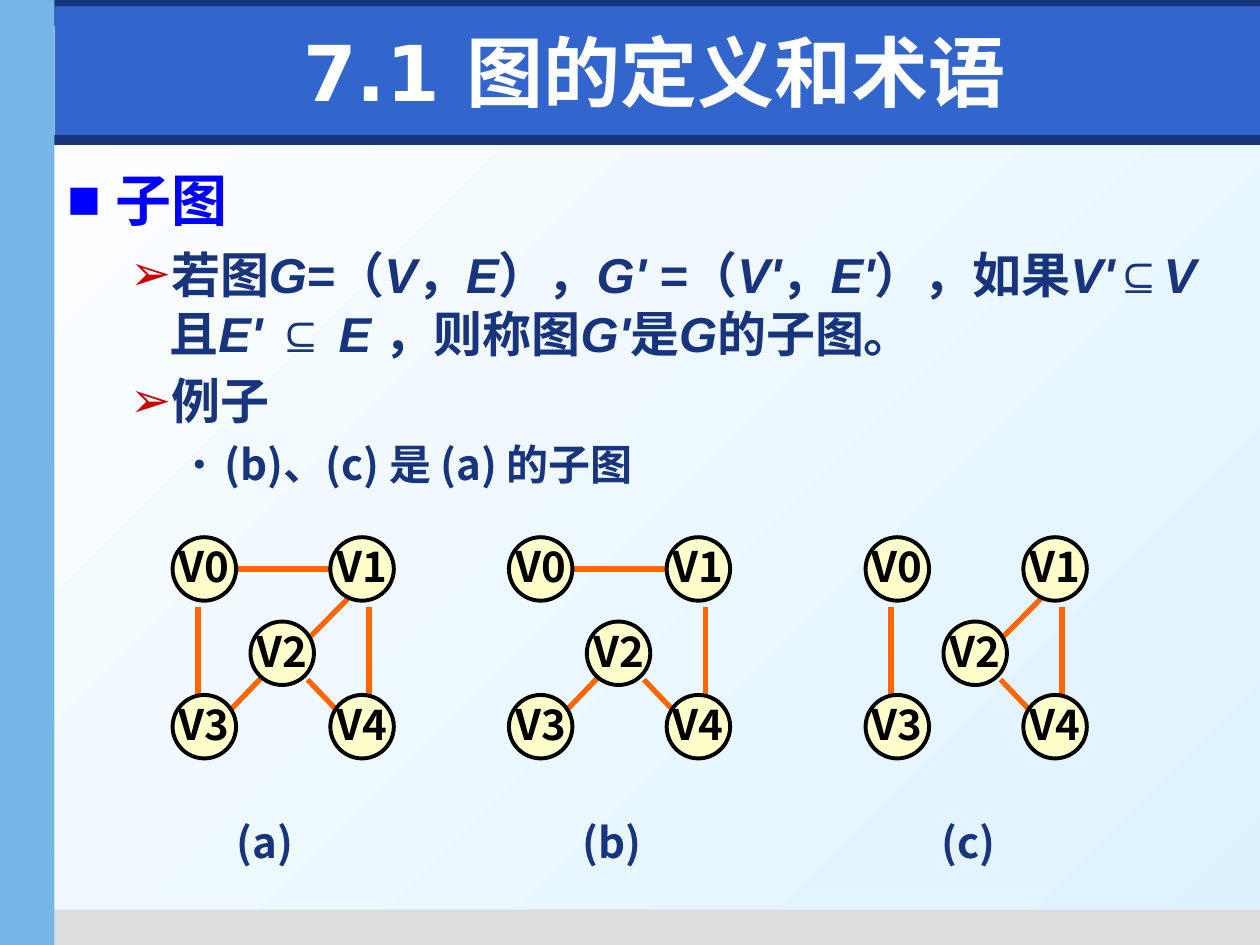
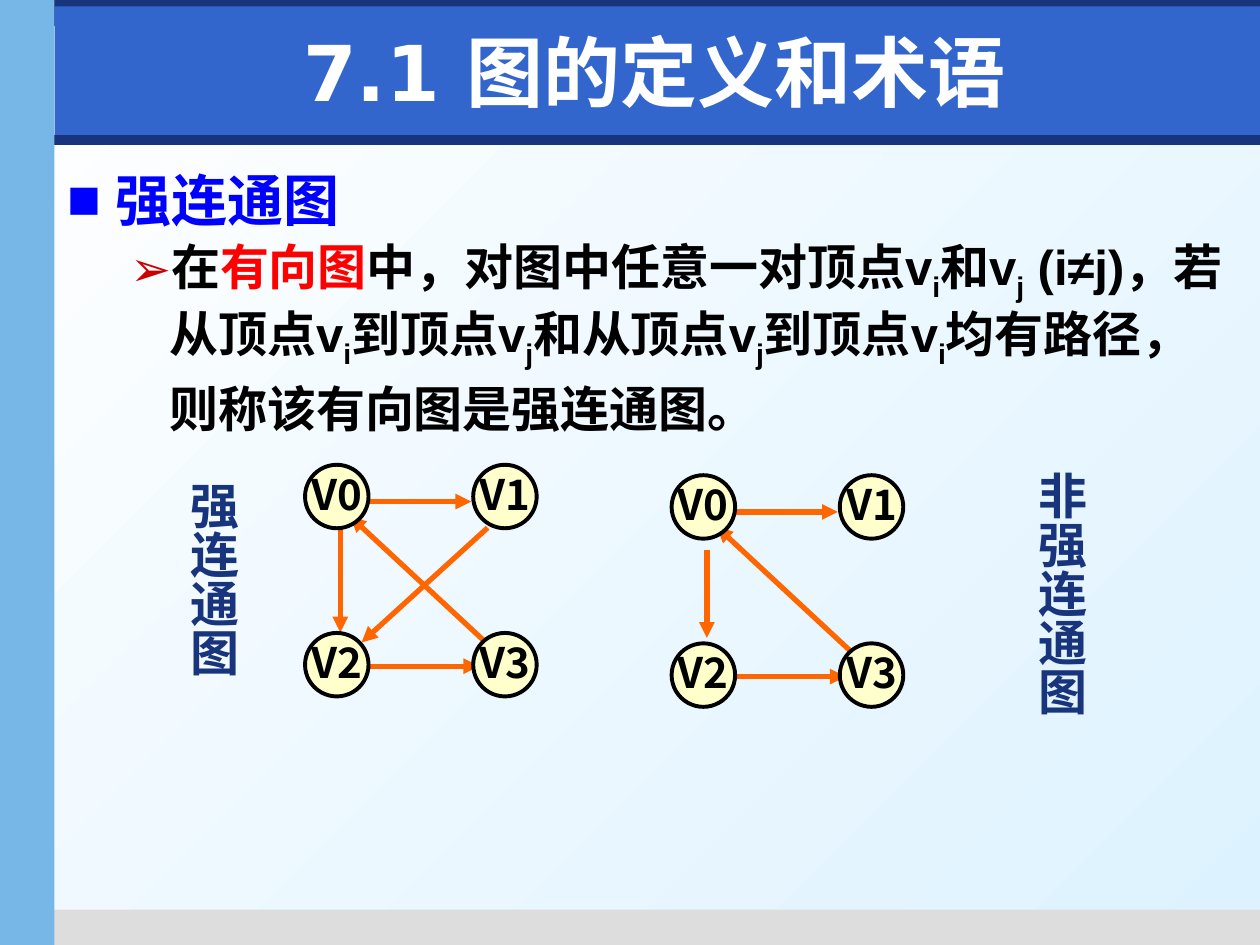
from dataclasses import dataclass

from lxml.etree import SubElement
from pptx import Presentation
from pptx.dml.color import RGBColor
from pptx.enum.shapes import MSO_CONNECTOR, MSO_SHAPE
from pptx.enum.text import MSO_ANCHOR, MSO_AUTO_SIZE, PP_ALIGN
from pptx.oxml.ns import qn
from pptx.util import Cm, Pt


@dataclass(frozen=True)
class Theme:
    navy: str = "17347D"
    blue: str = "3366CC"
    sky: str = "77B7E7"
    grey: str = "DDDDDD"
    white: str = "FFFFFF"
    pale: str = "DDF2FF"
    heading: str = "0000FF"
    bullet: str = "CC0000"
    key: str = "FF0000"
    black: str = "000000"
    node: str = "FFFFCC"
    edge: str = "FF6600"
    title_font: str = "DejaVu Sans"
    latin_font: str = "Arial"
    cjk_font: str = "Noto Sans CJK SC"
    title_size: int = 44
    head_size: int = 32
    text_size: int = 28
    small_size: int = 24


T = Theme()
TITLE = "7.1 图的定义和术语"

# Bands of the master: left, top, width, height, colour
BANDS = [
    (0.1, 2.72, 25.3, 0.2, T.navy),
    (0.9, 18.34, 24.5, 0.71, T.grey),
    (0, -0.08, 25.4, 0.61, T.navy),
    (1.1, 0.13, 24.3, 2.59, T.blue),
    (0, 0, 1.1, 19.05, T.sky),
]

# List levels: left margin, hanging indent, bullet, its colour, its size in %
LEVELS = [
    (0.97, 0.97, "■", T.heading, 100),
    (2.06, 0.79, "➢", T.bullet, 100),
    (3.18, 0.64, "●", T.navy, 50),
]

# Graphs: node and edge places in cm from the top left of the graph
NODE_SIZE = 1.28
STEP = 3.18
SUBGRAPH_NODES = {"V0": (0, 0), "V1": (STEP, 0), "V2": (1.57, 1.7),
                  "V3": (0, STEP), "V4": (STEP, STEP)}
SUBGRAPH_EDGES = {
    "V0V1": (1.27, 0.64, 3.35, 0.64),
    "V0V3": (0.51, 1.4, 0.51, 3.23),
    "V1V4": (3.96, 1.4, 3.96, 3.23),
    "V2V3": (1.85, 2.77, 1.12, 3.53),
    "V1V2": (3.53, 1.24, 2.77, 2.01),
    "V2V4": (2.72, 2.87, 3.35, 3.53),
}
SIDE = 3.39
DIRECTED_NODES = {f"V{i}": (i % 2 * SIDE, i // 2 * SIDE) for i in range(4)}
DIRECTED_EDGES = {
    "V0V2": (0.71, 1.3, 0.71, 3.38),
    "V2V3": (1.27, 4.06, 3.51, 4.06),
    "V0V1": (1.27, 0.74, 3.35, 0.74),
    "V3V0": (3.89, 3.81, 0.91, 1.04),
    "V1V2": (3.68, 1.27, 1.14, 3.58),
}


def rgb(color):
    return RGBColor.from_string(color)


def place(shape, x, y, w, h):
    shape.left, shape.top, shape.width, shape.height = Cm(x), Cm(y), Cm(w), Cm(h)


def add_run(p, text, size, color, font=T.cjk_font, italic=False, sub=False):
    r = p.add_run()
    r.text = text
    f = r.font
    f.size, f.bold, f.name = Pt(size), True, font
    f.color.rgb = rgb(color)
    if italic:
        f.italic = True
    rPr = r._r.get_or_add_rPr()
    SubElement(rPr, qn("a:ea"), typeface=T.cjk_font)
    if sub:
        rPr.set("baseline", "-25000")


def add_box(shapes, x, y, w, h, color, kind=MSO_SHAPE.RECTANGLE):
    sp = shapes.add_shape(kind, Cm(x), Cm(y), Cm(w), Cm(h))
    sp.shadow.inherit = False
    sp.fill.solid()
    sp.fill.fore_color.rgb = rgb(color)
    sp.line.fill.background()
    return sp


# Background and bands, set once on the master
def style_master(prs, s):
    master = prs.slide_master
    fill = master.background.fill
    fill.gradient()
    fill.gradient_angle = 315
    for stop, color in zip(fill.gradient_stops, (T.white, T.pale)):
        stop.color.rgb = rgb(color)
    for i, band in enumerate(BANDS):
        sp = add_box(s.shapes, *band)
        master.shapes.element.insert(2 + i, sp.element)


# Title placeholder
def add_title(s):
    title = s.shapes.title
    place(title, 1.5, 0.33, 23.4, 2.21)
    tf = title.text_frame
    tf.auto_size = MSO_AUTO_SIZE.NONE
    tf.vertical_anchor = MSO_ANCHOR.MIDDLE
    p = tf.paragraphs[0]
    p.alignment = PP_ALIGN.CENTER
    add_run(p, TITLE, T.title_size, T.white, T.title_font)


# One bulleted paragraph of the body
def format_item(p, level, pitch, before):
    left, hang, char, color, percent = LEVELS[level]
    p.level = level
    pPr = p._p.get_or_add_pPr()
    pPr.set("marL", str(Cm(left)))
    pPr.set("indent", str(-Cm(hang)))
    SubElement(SubElement(pPr, qn("a:buClr")), qn("a:srgbClr"), val=color)
    SubElement(pPr, qn("a:buSzPct"), val=str(percent * 1000))
    SubElement(pPr, qn("a:buChar"), char=char)
    p.line_spacing, p.space_before = Pt(pitch), Pt(before)


# Body placeholder: items are (level, size, colour, line pitch, space before, runs)
def add_body(s, items):
    body = s.placeholders[1]
    place(body, 1.1, 3.12, 23.8, 14.99)
    tf = body.text_frame
    tf.auto_size = MSO_AUTO_SIZE.NONE
    for i, (level, size, color, pitch, before, runs) in enumerate(items):
        p = tf.paragraphs[0] if i == 0 else tf.add_paragraph()
        format_item(p, level, pitch, before)
        for text, style in runs:
            add_run(p, text, size, **{"color": color, "font": T.latin_font, **style})


def heading(text):
    return 0, T.head_size, T.heading, 41, 0, [(text, {})]


# Text box for captions and side labels
def add_label(s, x, y, w, h, text, size, vertical=False):
    tf = s.shapes.add_textbox(Cm(x), Cm(y), Cm(w), Cm(h)).text_frame
    tf.word_wrap = True
    tf.vertical_anchor = MSO_ANCHOR.MIDDLE
    p = tf.paragraphs[0]
    if vertical:
        tf._txBody.bodyPr.set("vert", "eaVert")
    else:
        p.alignment = PP_ALIGN.CENTER
    add_run(p, text, size, T.navy)


def add_edge(shapes, x1, y1, x2, y2, arrow):
    line = shapes.add_connector(MSO_CONNECTOR.STRAIGHT, Cm(x1), Cm(y1), Cm(x2), Cm(y2))
    line.line.color.rgb = rgb(T.edge)
    line.line.width = Pt(3)
    if arrow:
        SubElement(line.line._get_or_add_ln(), qn("a:tailEnd"), type="triangle")
    SubElement(line._element.spPr, qn("a:effectLst"))


def add_node(shapes, x, y, name):
    sp = add_box(shapes, x, y, NODE_SIZE, NODE_SIZE, T.node, MSO_SHAPE.OVAL)
    sp.line.color.rgb = rgb(T.black)
    sp.line.width = Pt(2.25)
    tf = sp.text_frame
    tf.word_wrap = False
    tf.vertical_anchor = MSO_ANCHOR.MIDDLE
    tf.margin_left = tf.margin_right = tf.margin_top = 0
    tf.margin_bottom = Cm(0.12)
    p = tf.paragraphs[0]
    p.alignment = PP_ALIGN.CENTER
    add_run(p, name, T.small_size, T.black)


# A graph, grouped, with its top left at x, y
def add_graph(s, x, y, nodes, edges, arrow=False):
    shapes = s.shapes.add_group_shape().shapes
    for x1, y1, x2, y2 in edges:
        add_edge(shapes, x + x1, y + y1, x + x2, y + y2, arrow)
    for name, (dx, dy) in nodes.items():
        add_node(shapes, x + dx, y + dy, name)


# Subgraph slide
def build_subgraph(s):
    it, noto = {"italic": True}, {"font": T.cjk_font}
    definition = [
        ("若图", {}), ("G", it), ("=（", {}), ("V", it), ("，", {}), ("E", it),
        ("），", {}), ("G' ", it), ("=（", {}), ("V'", it), ("，", {}), ("E'", it),
        ("），如果", {}), ("V'", it), ("⊆", {}), ("V ", it), ("且", {}),
        ("E' ", it), ("⊆ ", {}), ("E ", it), ("，则称图", {}), ("G'", it),
        ("是", noto), ("G", it), ("的子图。", noto),
    ]
    add_title(s)
    add_body(s, [
        heading("子图"),
        (1, T.text_size, T.navy, 33.7, 6.6, definition),
        (1, T.text_size, T.navy, 33.7, 4.8, [("例子", noto)]),
        (2, T.small_size, T.navy, 28.9, 4.8, [("(b)、(c) 是 (a) 的子图", noto)]),
    ])
    graphs = [
        ("(a)", 3.48, 3.78, SUBGRAPH_EDGES),
        ("(b)", 10.26, 10.77, ["V0V1", "V1V4", "V2V3", "V2V4"]),
        ("(c)", 17.45, 17.96, ["V0V3", "V1V4", "V1V2", "V2V4"]),
    ]
    for caption, x, caption_x, names in graphs:
        add_graph(s, x, 10.83, SUBGRAPH_NODES, [SUBGRAPH_EDGES[n] for n in names])
        add_label(s, caption_x, 16.33, 3.12, 1.27, caption, T.small_size)


# Strongly connected graph slide
def build_strong(s):
    sub = {"sub": True}
    definition = [
        ("在", {}), ("有向图", {"color": T.key}), ("中，对图中任意一对顶点v", {}),
        ("i", sub), ("和v", {}), ("j", sub), (" (i≠j)，若从顶点v", {}), ("i", sub),
        ("到顶点v", {}), ("j", sub), ("和从顶点v", {}), ("j", sub),
        ("到顶点v", {}), ("i", sub), ("均有路径，则称该有向图是强连通图。", {}),
    ]
    add_title(s)
    add_body(s, [
        heading("强连通图"),
        (1, T.text_size, T.black, 38.3, 2, definition),
    ])
    add_label(s, 3.45, 9.45, 1.7, 4.7, "强连通图", T.text_size, vertical=True)
    add_label(s, 20.54, 9.25, 1.7, 5.6, "非强连通图", T.text_size, vertical=True)
    add_graph(s, 6.15, 9.37, DIRECTED_NODES, DIRECTED_EDGES.values(), arrow=True)
    weak = {**DIRECTED_EDGES, "V0V2": (0.71, 1.5, 0.71, 3.28)}
    weak.pop("V1V2")
    add_graph(s, 13.54, 9.58, DIRECTED_NODES, weak.values(), arrow=True)


def main():
    prs = Presentation()
    prs.slide_width, prs.slide_height = Cm(25.4), Cm(19.05)
    for i, build in enumerate((build_subgraph, build_strong)):
        s = prs.slides.add_slide(prs.slide_layouts[1])
        if i == 0:
            style_master(prs, s)
        build(s)
    prs.save("out.pptx")


if __name__ == "__main__":
    main()
